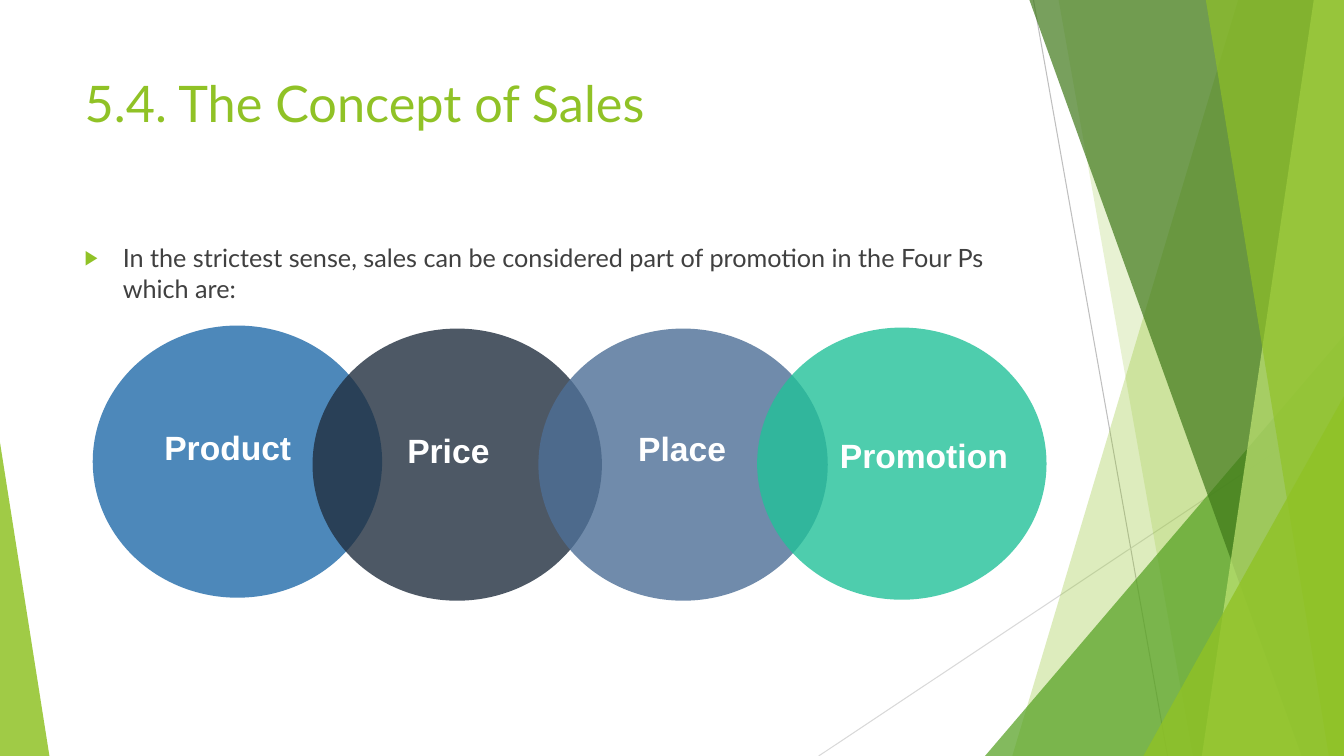
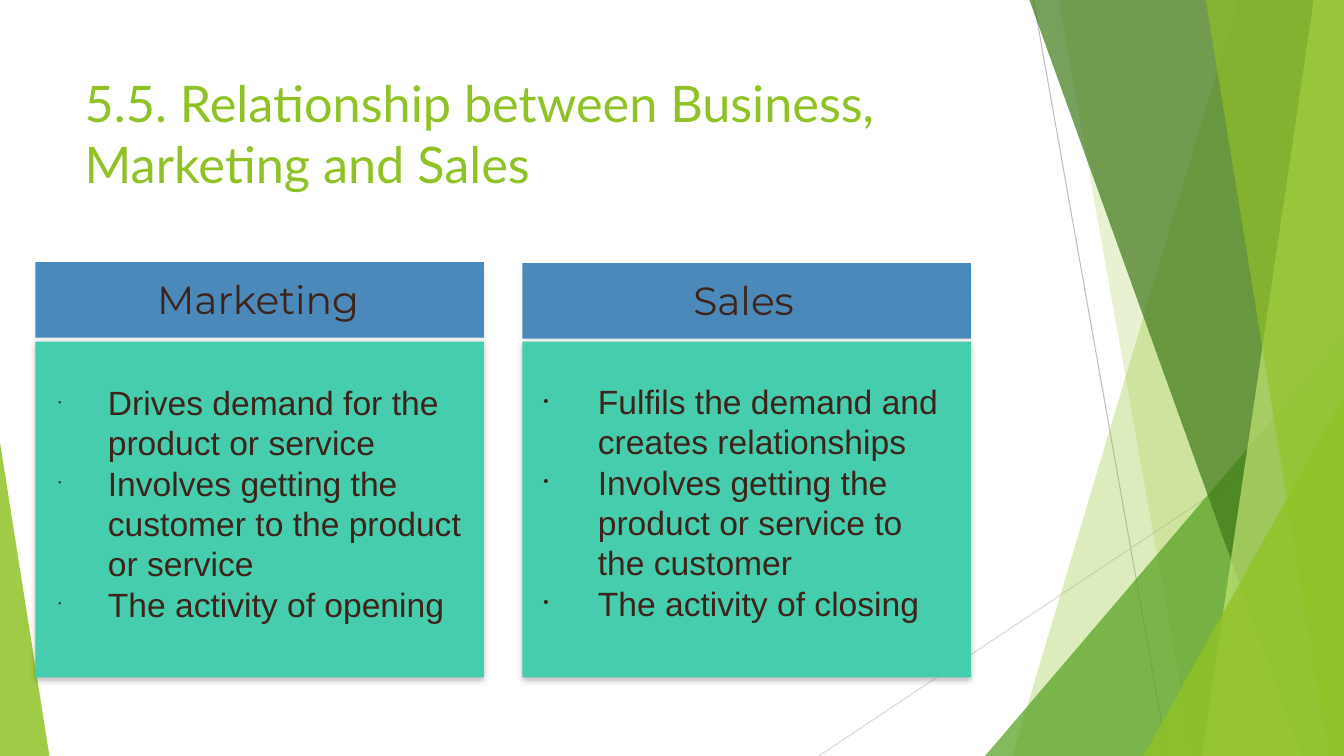
from dataclasses import dataclass
from typing import Optional

import lxml.etree
import pptx
import pptx.dml.color
import pptx.enum.shapes
import pptx.enum.text
import pptx.oxml.ns
import pptx.util

Inches = pptx.util.Inches
SHAPE = pptx.enum.shapes.MSO_SHAPE
ANCHOR = pptx.enum.text.MSO_ANCHOR
ALIGN = pptx.enum.text.PP_ALIGN
qn = pptx.oxml.ns.qn

WIDTH, HEIGHT = 13.33, 7.5
LIME, GREEN, FOREST, PALE = "90C226", "54A021", "3F7819", "C0E474"
BODY_GREY, WHITE, BROWN = "404040", "FFFFFF", "3E231A"
HEADING_BLUE, PANEL_TEAL = "4B89BA", "46CDAE"


@dataclass(frozen=True)
class Box:
    left: float
    top: float
    width: float
    height: float

    def lengths(self) -> tuple:
        return tuple(Inches(v) for v in (self.left, self.top, self.width, self.height))


@dataclass(frozen=True)
class Band:
    """A slanted left edge, filled out to the right side of the slide."""
    top_x: float
    bottom_x: float
    color: str
    opacity: int


@dataclass(frozen=True)
class Corner:
    box: Box
    apex: float
    color: str
    opacity: int


@dataclass(frozen=True)
class Ray:
    start: tuple
    end: tuple
    color: str


@dataclass(frozen=True)
class Bullet:
    character: str
    indent: float
    percent: int
    color: Optional[str] = None


@dataclass(frozen=True)
class Circle:
    label: str
    left: float
    top: float
    color: str
    label_box: Box


@dataclass(frozen=True)
class Column:
    left: float
    heading_top: float
    heading: str
    heading_box: Box
    points: tuple
    points_box: Box
    bullet: Bullet


RAYS = (
    Ray((10.25, 0), (11.58, HEIGHT), "BFBFBF"),
    Ray((WIDTH, 4.03), (8.12, HEIGHT), "D9D9D9"),
)
FACETS = (
    Band(12.28, 10.04, LIME, 30),
    Band(10.5, 11.83, LIME, 20),
    Corner(Box(9.77, 3.33, 3.56, 4.17), 1, GREEN, 72),
    Band(10.21, 12.91, FOREST, 70),
    Band(13.03, 11.92, PALE, 70),
    Band(11.96, 13.18, LIME, 65),
    Corner(Box(11.34, 3.93, 1.99, 3.57), 1, LIME, 80),
    Corner(Box(0, 4.39, 0.49, 3.11), 0, LIME, 85),
)
CIRCLES = (
    Circle("Product", 0.92, 3.23, "216BA9", Box(1.5, 4.11, 2.33, 0.64)),
    Circle("Price", 3.1, 3.26, "212F3F", Box(3.91, 4.14, 2.33, 0.64)),
    Circle("Place", 5.34, 3.26, "4D6F96", Box(6.2, 4.12, 2.33, 0.64)),
    Circle("Promotion", 7.51, 3.25, "22C199", Box(8.2, 4.18, 2.42, 0.64)),
)
COLUMNS = (
    Column(
        0.35, 2.6, "Marketing", Box(1.23, 2.67, 2.66, 0.58),
        ("Drives demand for the product or service",
         "Involves getting the customer to the product or service",
         "The activity of opening"),
        Box(0.52, 3.72, 4.12, 2.54), Bullet("•", 0.49, 25),
    ),
    Column(
        5.18, 2.61, "Sales", Box(6.63, 2.68, 1.49, 0.58),
        ("Fulfils the demand and creates relationships",
         "Involves getting the product or service to the customer",
         "The activity of closing"),
        Box(5.33, 3.71, 4.12, 2.54), Bullet("•", 0.54, 45),
    ),
)


def rgb(color: str) -> pptx.dml.color.RGBColor:
    return pptx.dml.color.RGBColor.from_string(color)


def add_child(parent, tag: str, **attributes):
    return lxml.etree.SubElement(
        parent, qn(tag), {name: str(value) for name, value in attributes.items()})


def paint(shape, color: str, opacity: int = 100) -> None:
    """Give a flat fill with no line and no shadow."""
    shape.shadow.inherit = False
    shape.line.fill.background()
    shape.fill.solid()
    shape.fill.fore_color.rgb = rgb(color)
    if opacity < 100:
        swatch = shape.element.spPr.find(".//" + qn("a:srgbClr"))
        add_child(swatch, "a:alpha", val=opacity * 1000)


def add_soft_shadow(shape, color: str) -> None:
    effects = shape.element.spPr.find(qn("a:effectLst"))
    shadow = add_child(effects, "a:outerShdw", blurRad=pptx.util.Pt(4),
                       dist=pptx.util.Pt(2), dir=90 * 60000, rotWithShape=0)
    swatch = add_child(shadow, "a:srgbClr", val=color)
    add_child(swatch, "a:alpha", val=25000)


def add_bullet(para, bullet: Bullet) -> None:
    properties = para._p.get_or_add_pPr()
    properties.set("marL", str(Inches(bullet.indent)))
    properties.set("indent", str(-Inches(bullet.indent)))
    if bullet.color:
        add_child(add_child(properties, "a:buClr"), "a:srgbClr", val=bullet.color)
    add_child(properties, "a:buSzPct", val=bullet.percent * 1000)
    add_child(properties, "a:buFont", typeface="Arial")
    add_child(properties, "a:buChar", char=bullet.character)


def write(shape, *lines: str, font: str, size: float, color: str, bold: bool = False,
          align=ALIGN.LEFT, anchor=ANCHOR.TOP, inset: Optional[float] = None,
          space_before: float = 0, bullet: Optional[Bullet] = None) -> None:
    frame = shape.text_frame
    frame.word_wrap = True
    frame.auto_size = pptx.enum.text.MSO_AUTO_SIZE.NONE
    frame.vertical_anchor = anchor
    if inset is not None:
        frame.margin_left = frame.margin_right = Inches(inset)
        frame.margin_top = frame.margin_bottom = Inches(inset)
    for index, line in enumerate(lines):
        para = frame.add_paragraph() if index else frame.paragraphs[0]
        para.alignment = align
        para.space_before = pptx.util.Pt(space_before)
        span = para.add_run()
        span.text = line
        span.font.name = font
        span.font.size = pptx.util.Pt(size)
        span.font.bold = bold
        span.font.color.rgb = rgb(color)
        if bullet:
            add_bullet(para, bullet)


def add_text(page, box: Box, *lines: str, **text_format) -> None:
    write(page.shapes.add_textbox(*box.lengths()), *lines, **text_format)


def add_block(page, preset, box: Box, color: str, opacity: int = 100):
    shape = page.shapes.add_shape(preset, *box.lengths())
    paint(shape, color, opacity)
    return shape


def add_ray(page, ray: Ray):
    line = page.shapes.add_connector(
        pptx.enum.shapes.MSO_CONNECTOR.STRAIGHT,
        *(Inches(value) for value in ray.start + ray.end))
    line.line.color.rgb = rgb(ray.color)
    line.line.width = pptx.util.Pt(0.75)
    add_child(line.element.spPr, "a:effectLst")
    return line


def add_band(page, band: Band):
    corners = ((band.top_x, 0), (WIDTH, 0), (WIDTH, HEIGHT), (band.bottom_x, HEIGHT))
    points = [(Inches(x), Inches(y)) for x, y in corners]
    builder = page.shapes.build_freeform(*points[0])
    builder.add_line_segments(points[1:], close=True)
    shape = builder.convert_to_shape()
    paint(shape, band.color, band.opacity)
    return shape


def add_corner(page, corner: Corner):
    shape = add_block(page, SHAPE.ISOSCELES_TRIANGLE, corner.box, corner.color, corner.opacity)
    shape.adjustments[0] = corner.apex
    return shape


def move_backdrop_to_layout(page, layout) -> None:
    """Draw the facets with the page's shape tools, then hand them to its layout."""
    backdrop = [add_ray(page, ray) for ray in RAYS]
    for facet in FACETS:
        draw = add_band if isinstance(facet, Band) else add_corner
        backdrop.append(draw(page, facet))
    for number, shape in enumerate(backdrop, start=100):
        shape.element.find(".//" + qn("p:cNvPr")).set("id", str(number))
        layout.shapes.element.append(shape.element)


def add_page(deck, layout, title: str):
    page = deck.slides.add_slide(layout)
    heading = page.shapes.title
    heading.left, heading.top, heading.width, heading.height = Box(0.74, 0.67, 9.4, 1.44).lengths()
    write(heading, title, font="Lato", size=36, color=LIME)
    return page


def draw_four_ps(page) -> None:
    add_text(page, Box(0.74, 2.36, 9.4, 0.8),
             "In the strictest sense, sales can be considered part of promotion "
             "in the Four Ps which are:",
             font="Lato", size=18, color=BODY_GREY, space_before=10,
             bullet=Bullet("▶", 0.38, 80, LIME))
    for circle in CIRCLES:
        add_block(page, SHAPE.OVAL, Box(circle.left, circle.top, 2.87, 2.7), circle.color, 80)
    for circle in CIRCLES:
        add_text(page, circle.label_box, circle.label,
                 font="Arial", size=24, color=WHITE, bold=True, inset=0.13)


def draw_column(page, column: Column) -> None:
    heading = add_block(page, SHAPE.RECTANGLE,
                        Box(column.left, column.heading_top, 4.45, 0.75), HEADING_BLUE)
    add_soft_shadow(heading, "B8BAA8")
    panel = add_block(page, SHAPE.RECTANGLE, Box(column.left, 3.39, 4.45, 3.33), PANEL_TEAL)
    add_soft_shadow(panel, "000000")
    add_text(page, column.heading_box, column.heading, font="Montserrat", size=28,
             color=BROWN, align=ALIGN.CENTER, anchor=ANCHOR.MIDDLE, inset=0.06)
    add_text(page, column.points_box, *column.points, font="Arial", size=24,
             color=BROWN, anchor=ANCHOR.MIDDLE, inset=0.06, bullet=column.bullet)


def main() -> None:
    deck = pptx.Presentation()
    deck.slide_width, deck.slide_height = Inches(WIDTH), Inches(HEIGHT)
    layout = deck.slide_layouts.get_by_name("Title Only")

    sales_page = add_page(deck, layout, "5.4. The Concept of Sales")
    move_backdrop_to_layout(sales_page, layout)
    draw_four_ps(sales_page)

    relationship_page = add_page(
        deck, layout, "5.5. Relationship between Business, Marketing and Sales")
    for column in COLUMNS:
        draw_column(relationship_page, column)

    deck.save("out.pptx")


if __name__ == "__main__":
    main()
